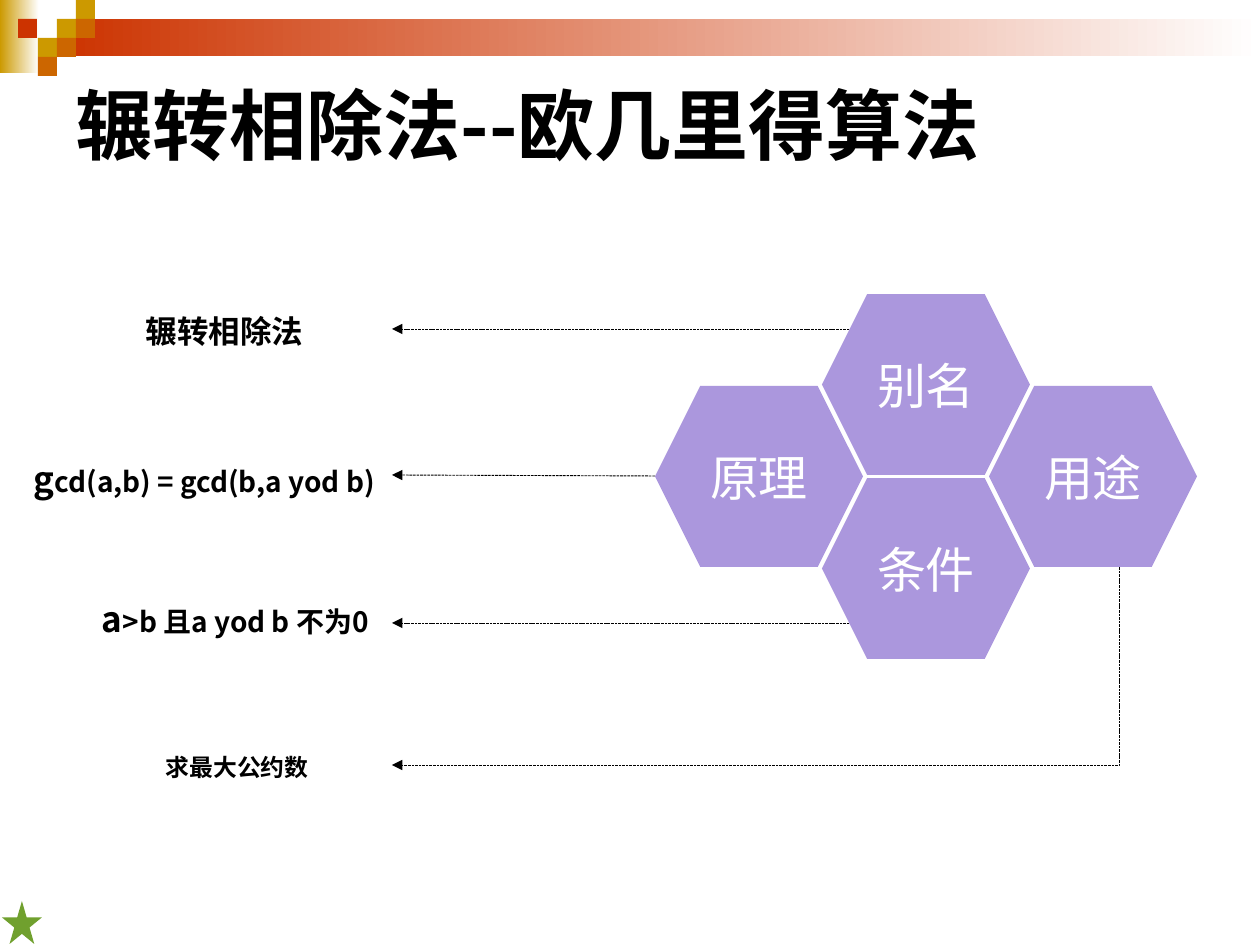
from typing import NamedTuple

import lxml.etree
import pptx
import pptx.dml.color
import pptx.enum.dml
import pptx.enum.shapes
import pptx.enum.text
import pptx.oxml.ns
import pptx.util

SCALE = 914400 / 126
FONT = "Noto Sans CJK SC"
COLORS = {
    "gold": "CC9900", "orange": "CC6600", "red": "CC3300", "white": "FFFFFF",
    "black": "000000", "lilac": "AB97DD", "green": "70A02E",
}
SHAPE = pptx.enum.shapes.MSO_SHAPE
CONNECTOR = pptx.enum.shapes.MSO_CONNECTOR


class Box(NamedTuple):
    left: int
    top: int
    width: int
    height: int


class Run(NamedTuple):
    text: str
    size: float


class Topic(NamedTuple):
    name: str
    left: int
    top: int


class Answer(NamedTuple):
    box: Box
    runs: list[Run]


class Arrow(NamedTuple):
    start: tuple[int, int]
    end: tuple[int, int]
    kind: CONNECTOR = CONNECTOR.STRAIGHT


def px(length: float) -> int:
    return round(length * SCALE)


def rgb(name: str) -> pptx.dml.color.RGBColor:
    return pptx.dml.color.RGBColor.from_string(COLORS[name])


def add_child(parent, tag: str, **attributes: str):
    return lxml.etree.SubElement(parent, pptx.oxml.ns.qn(tag), attributes)


def draw_shape(kind: SHAPE, box: Box, color: str, fade: bool = False):
    shape = slide.shapes.add_shape(kind, *map(px, box))
    shape.shadow.inherit = False
    shape.line.fill.background()
    if fade:
        shape.fill.gradient()
        shape.fill.gradient_angle = 0
        for stop, position, name in zip(shape.fill.gradient_stops, (0, 1), (color, "white")):
            stop.position = position
            stop.color.rgb = rgb(name)
    else:
        shape.fill.solid()
        shape.fill.fore_color.rgb = rgb(color)
    return shape


def write(frame, runs: list[Run], color: str, bold: bool, spacing: float = 1,
          inset: bool = False, centred: bool = False) -> None:
    frame.word_wrap = True
    frame.vertical_anchor = pptx.enum.text.MSO_ANCHOR.MIDDLE
    if not inset:
        frame.margin_left = frame.margin_right = frame.margin_top = frame.margin_bottom = 0
    paragraph = frame.paragraphs[0]
    paragraph.line_spacing = spacing
    align = pptx.enum.text.PP_ALIGN
    paragraph.alignment = align.CENTER if centred else align.LEFT
    font = paragraph.font
    font.bold = bold
    font.color.rgb = rgb(color)
    font.name = FONT
    add_child(font._element, "a:ea", typeface=FONT)
    if len(runs) == 1:
        font.size = pptx.util.Pt(runs[0].size)
    for part in runs:
        run = paragraph.add_run()
        run.text = part.text
        if len(runs) > 1:
            run.font.size = pptx.util.Pt(part.size)


def draw_text(box: Box, runs: list[Run], spacing: float = 1, inset: bool = False) -> None:
    frame = slide.shapes.add_textbox(*map(px, box)).text_frame
    write(frame, runs, "black", True, spacing, inset)


def draw_arrow(arrow: Arrow) -> None:
    connector = slide.shapes.add_connector(arrow.kind, *map(px, arrow.start + arrow.end))
    connector.line.color.rgb = rgb("black")
    connector.line.width = pptx.util.Pt(0.5)
    connector.line.dash_style = pptx.enum.dml.MSO_LINE.SQUARE_DOT
    properties = connector._element.spPr
    add_child(properties.find(pptx.oxml.ns.qn("a:ln")), "a:tailEnd", type="triangle")
    add_child(properties, "a:effectLst")
    if arrow.kind == CONNECTOR.ELBOW:
        # Turn at the start, so the line drops before it runs left
        guides = properties.find(".//" + pptx.oxml.ns.qn("a:avLst"))
        add_child(guides, "a:gd", name="adj1", fmla="val 0")


presentation = pptx.Presentation()
presentation.slide_width = px(1260)
presentation.slide_height = px(945)
slide = presentation.slides.add_slide(presentation.slide_layouts[6])

# Header bands and tiles
draw_shape(SHAPE.RECTANGLE, Box(0, 0, 39, 73), "gold", fade=True)
draw_shape(SHAPE.RECTANGLE, Box(57, 19, 1203, 37), "red", fade=True)
TILE = 19
TILES = [
    (57, 19, "gold"), (76, 0, "gold"), (76, 19, "orange"), (38, 38, "gold"),
    (18, 19, "red"), (57, 38, "orange"), (38, 57, "orange"),
]
for left, top, color in TILES:
    draw_shape(SHAPE.RECTANGLE, Box(left, top, TILE, TILE), color)

# Corner ornament
draw_shape(SHAPE.STAR_5_POINT, Box(2, 901, 40, 43), "green")

# Title
draw_text(Box(63, 63, 1134, 122), [Run("辗转相除法--欧几里得算法", 44)], inset=True)

# Arrows from topics to answers
TIP = 392
ARROWS = [
    Arrow((853, 329), (TIP, 329)),
    Arrow((655, 476), (TIP, 475)),
    Arrow((853, 623), (TIP, 623)),
    Arrow((1120, 560), (TIP, 765), CONNECTOR.ELBOW),
]
for arrow in ARROWS:
    draw_arrow(arrow)

# Answers
ANSWERS = [
    Answer(Box(146, 291, 227, 76), [Run("辗转相除法", 18)]),
    Answer(Box(34, 438, 381, 76), [Run("g", 20), Run("cd(a,b) = gcd(b,a yod b)", 16)]),
    Answer(Box(102, 578, 290, 76), [Run("a", 20), Run(">b 且a yod b 不为0", 16)]),
    Answer(Box(166, 728, 163, 76), [Run("求最大公约数", 13.6)]),
]
for answer in ANSWERS:
    draw_text(answer.box, answer.runs, spacing=1.1)

# Topic hexagons: each column steps right, each row by half a cell
HEX_WIDTH, HEX_HEIGHT = 208, 181
COLUMN, HALF_ROW = 167, 92
FIRST_LEFT, FIRST_TOP = 655, 294
TOPICS = [
    Topic("用途", 2, 1), Topic("条件", 1, 2), Topic("别名", 1, 0), Topic("原理", 0, 1),
]
for topic in TOPICS:
    cell = Box(FIRST_LEFT + topic.left * COLUMN, FIRST_TOP + topic.top * HALF_ROW,
               HEX_WIDTH, HEX_HEIGHT)
    hexagon = draw_shape(SHAPE.HEXAGON, cell, "lilac")
    write(hexagon.text_frame, [Run(topic.name, 28)], "white", False, centred=True)

presentation.save("out.pptx")
